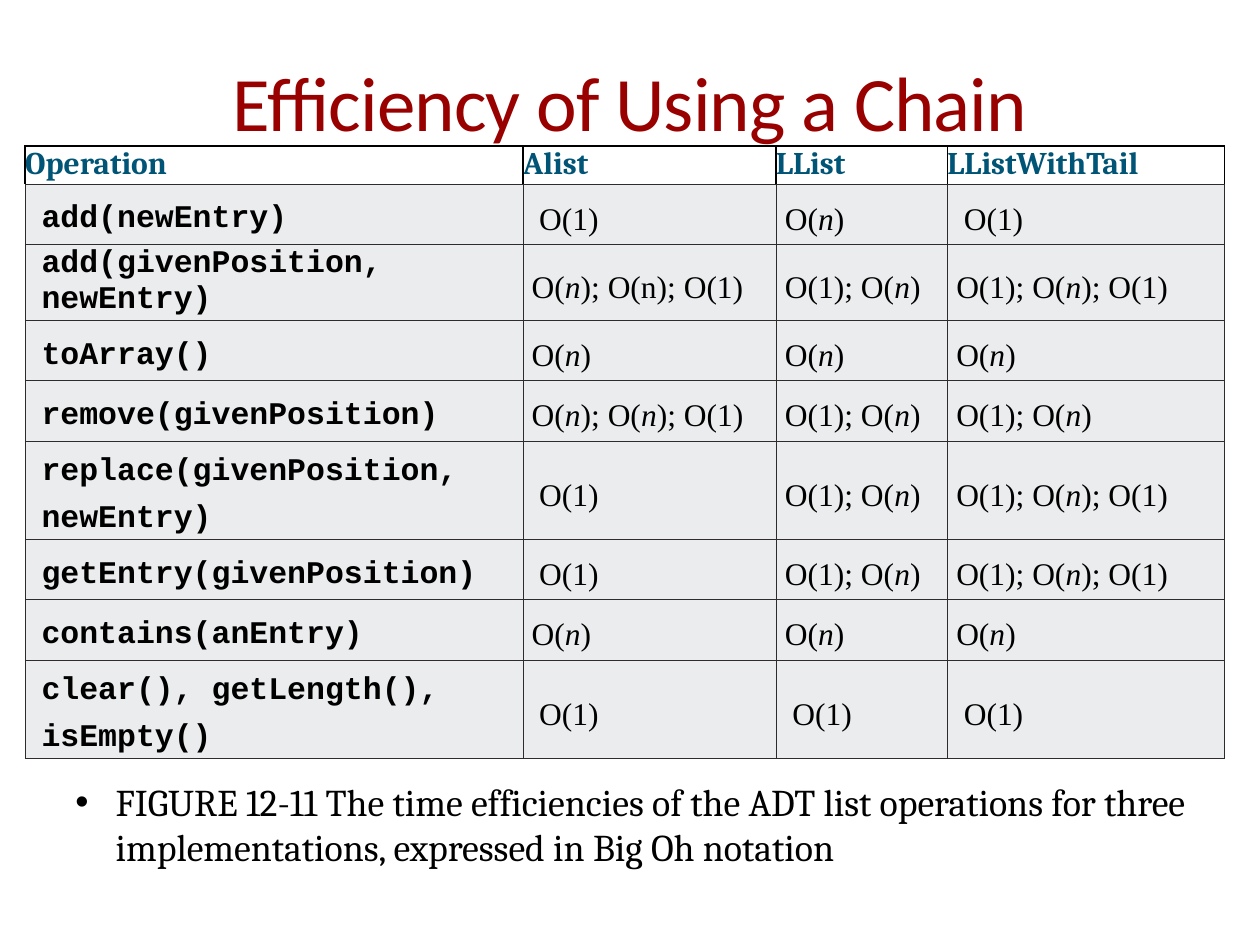
from dataclasses import dataclass
from typing import Any

from lxml import etree
from pptx import Presentation
from pptx import util as u
from pptx.dml.color import RGBColor
from pptx.enum import text
from pptx.oxml.ns import qn


@dataclass(frozen=True)
class Theme:
    title: str = "990000"
    header: str = "005476"
    body: str = "000000"
    cell: str = "EBECED"
    grid: str = "2F2A2B"
    title_size: float = 44
    caption_size: float = 21.6
    table_size: float = 18
    title_font: str = "Calibri"
    serif: str = "Cambria"
    code: str = "Courier New"
    math: str = "Times New Roman"


@dataclass(frozen=True)
class Operation:
    name: str
    costs: tuple[str, str, str]
    spacing: float = 1.3


T = Theme()
HEADERS = ("Operation", "Alist", "LList", "LListWithTail")
CONST, LINEAR = "O(1)", "O(*n*)"
EITHER, ENDS = "O(1); O(*n*)", "O(1); O(*n*); O(1)"
OPERATIONS = (
    Operation("add(newEntry)", (CONST, LINEAR, CONST)),
    Operation("add(givenPosition, newEntry)", ("O(*n*); O(n); O(1)", EITHER, ENDS), 1.0),
    Operation("toArray()", (LINEAR, LINEAR, LINEAR)),
    Operation("remove(givenPosition)", ("O(*n*); O(*n*); O(1)", EITHER, EITHER)),
    Operation("replace(givenPosition, newEntry)", (CONST, EITHER, ENDS)),
    Operation("getEntry(givenPosition)", (CONST, EITHER, ENDS)),
    Operation("contains(anEntry)", (LINEAR, LINEAR, LINEAR)),
    Operation("clear(), getLength(), isEmpty()", (CONST, CONST, CONST)),
)
COLUMNS = (3.95, 2.01, 1.36, 2.2)
HEADER_HEIGHT, ROW_HEIGHT = 0.28, 0.48


def apply(target: Any, **values: Any) -> None:
    for key, value in values.items():
        setattr(target, key, value)


def add_run(p: Any, words: str, font: str, size: float, color: str,
            bold: bool = False, italic: bool = False) -> Any:
    r = p.add_run()
    r.text = words
    apply(r.font, name=font, size=u.Pt(size), bold=bold, italic=italic)
    r.font.color.rgb = RGBColor.from_string(color)
    return r


def set_indent(p: Any, left: float, first: float = 0) -> Any:
    pPr = p._p.get_or_add_pPr()
    pPr.set("marL", str(u.Inches(left)))
    pPr.set("indent", str(u.Inches(first)))
    return pPr


def add_box(s: Any, left: float, top: float, width: float, height: float) -> Any:
    sp = s.shapes.add_textbox(u.Inches(left), u.Inches(top), u.Inches(width), u.Inches(height))
    sp.text_frame.word_wrap = True
    return sp.text_frame


def add_title(s: Any) -> None:
    tf = add_box(s, 0.5, 0.17, 9, 1.25)
    apply(tf, margin_left=0, margin_right=0, vertical_anchor=text.MSO_ANCHOR.MIDDLE)
    p = tf.paragraphs[0]
    p.alignment = text.PP_ALIGN.CENTER
    r = add_run(p, "Efficiency of Using a Chain", T.title_font, T.title_size, T.title)
    r._r.get_or_add_rPr().set("spc", "-50")


def add_caption(s: Any) -> None:
    p = add_box(s, 0.5, 6.13, 9.31, 0.88).paragraphs[0]
    pPr = set_indent(p, 0.32, -0.32)
    color = etree.SubElement(pPr, qn("a:buClr"))
    etree.SubElement(color, qn("a:srgbClr"), val=T.body)
    etree.SubElement(pPr, qn("a:buFont"), typeface="Arial")
    etree.SubElement(pPr, qn("a:buChar"), char="•")
    add_run(p, "FIGURE 12-11 The time efficiencies of the ADT list operations for three "
               "implementations, expressed in Big Oh notation", T.serif, T.caption_size, T.body)


def set_borders(cell: Any, header: bool) -> None:
    tcPr = cell._tc.get_or_add_tcPr()
    for side in "LRTB":
        heavy = header and side != "B"
        ln = etree.SubElement(tcPr, qn(f"a:ln{side}"), w=str(u.Pt(1 if heavy else 0.5)))
        fill = etree.SubElement(ln, qn("a:solidFill"))
        etree.SubElement(fill, qn("a:srgbClr"), val=T.body if heavy else T.grid)


def fill_header(cell: Any, words: str) -> None:
    apply(cell, margin_left=0, margin_right=0, margin_top=0, margin_bottom=0)
    set_borders(cell, True)
    cell.fill.background()
    add_run(cell.text_frame.paragraphs[0], words, T.serif, T.table_size, T.header, bold=True)


def fill_cell(cell: Any, words: str, code: bool, spacing: float) -> None:
    apply(cell, margin_left=u.Inches(0.07), margin_right=u.Inches(0.07), margin_top=0,
          margin_bottom=0, vertical_anchor=text.MSO_ANCHOR.MIDDLE)
    set_borders(cell, False)
    cell.fill.solid()
    cell.fill.fore_color.rgb = RGBColor.from_string(T.cell)
    p = cell.text_frame.paragraphs[0]
    p.line_spacing = spacing
    if code or words == CONST:
        set_indent(p, 0.06)
    for i, part in enumerate(words.split("*")):
        if part:
            add_run(p, part, T.code if code else T.math, T.table_size, T.body,
                    bold=code, italic=i % 2 == 1)


def add_efficiency_table(s: Any) -> None:
    height = HEADER_HEIGHT + ROW_HEIGHT * len(OPERATIONS)
    table = s.shapes.add_table(len(OPERATIONS) + 1, len(COLUMNS), u.Inches(0.2), u.Inches(1.16),
                               u.Inches(sum(COLUMNS)), u.Inches(height)).table
    apply(table, first_row=False, horz_banding=False)
    for column, width in zip(table.columns, COLUMNS):
        column.width = u.Inches(width)
    for i, row in enumerate(table.rows):
        row.height = u.Inches(ROW_HEIGHT if i else HEADER_HEIGHT)
    for j, words in enumerate(HEADERS):
        fill_header(table.cell(0, j), words)
    for i, op in enumerate(OPERATIONS, 1):
        fill_cell(table.cell(i, 0), op.name, True, op.spacing)
        for j, cost in enumerate(op.costs, 1):
            fill_cell(table.cell(i, j), cost, False, 1.3)


def main() -> None:
    prs = Presentation()
    apply(prs, slide_width=u.Inches(10), slide_height=u.Inches(7.5))
    s = prs.slides.add_slide(prs.slide_layouts[6])
    add_title(s)
    add_caption(s)
    add_efficiency_table(s)
    prs.save("out.pptx")


if __name__ == "__main__":
    main()
